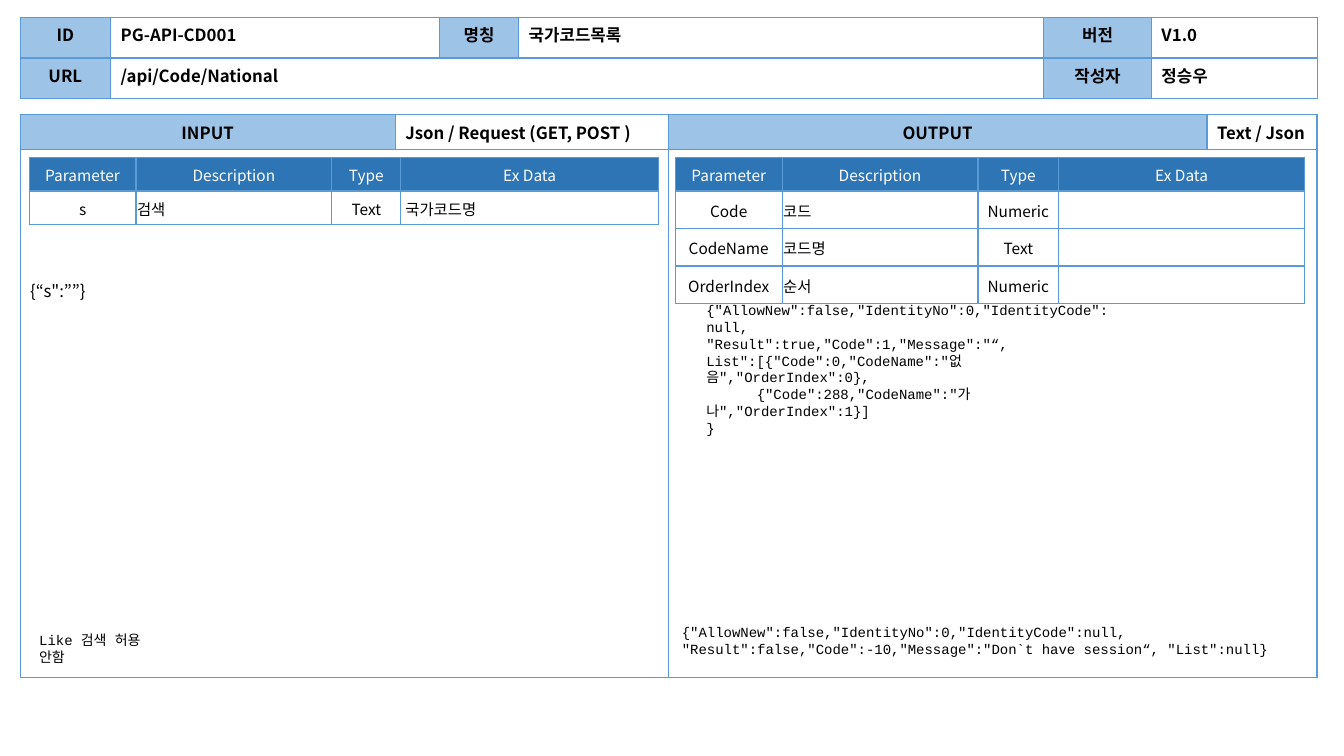
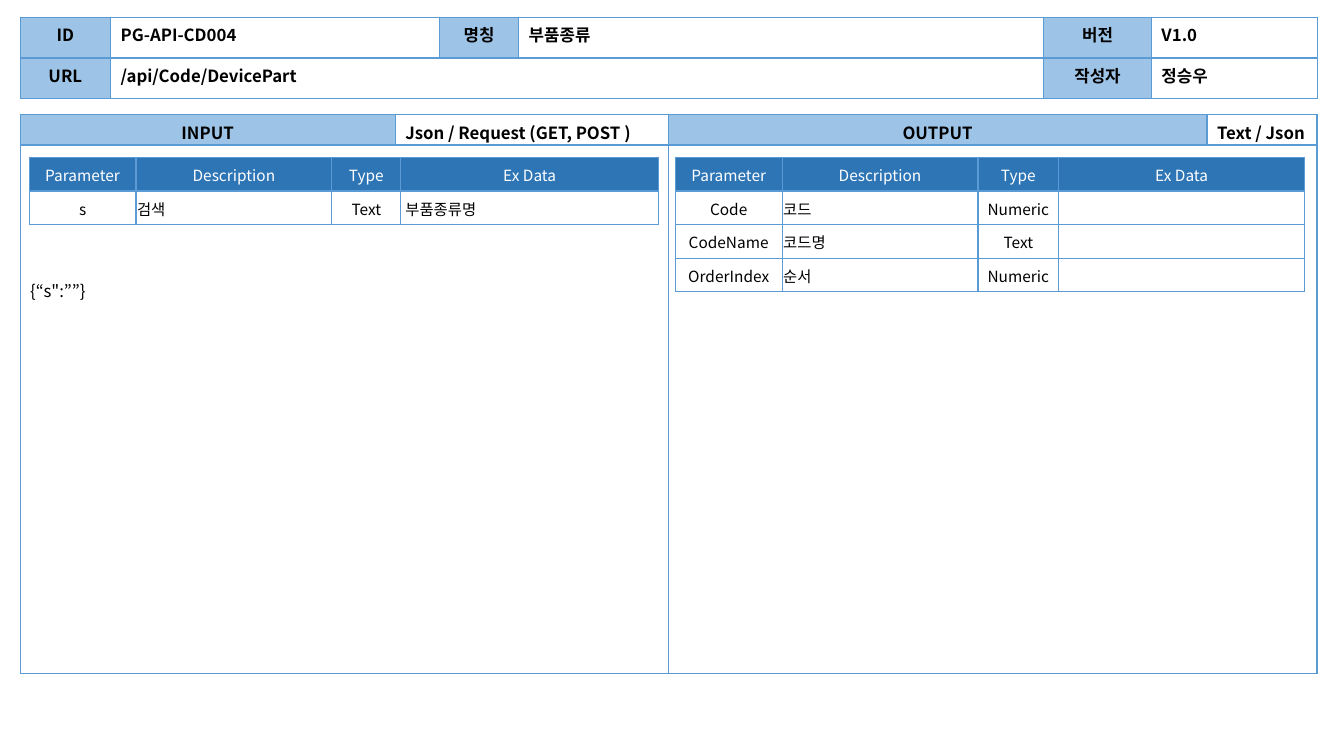
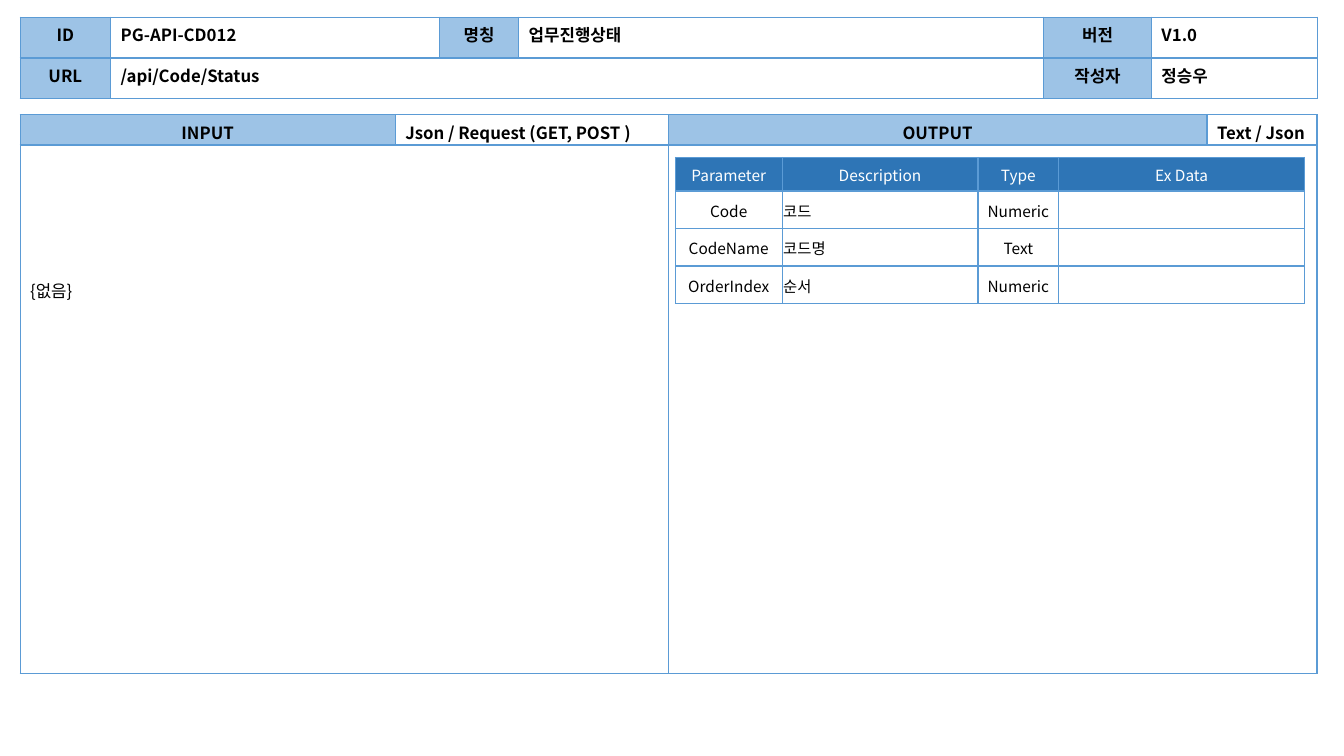
from dataclasses import dataclass

from lxml.etree import SubElement
from pptx import Presentation
from pptx.dml.color import RGBColor
from pptx.enum.text import MSO_ANCHOR, PP_ALIGN
from pptx.oxml.ns import qn
from pptx.util import Pt


@dataclass(frozen=True)
class Theme:
    text: str = "000000"
    white: str = "FFFFFF"
    label: str = "9DC3E6"
    header: str = "2E75B6"
    border: str = "5B9BD5"
    sans: str = "Noto Sans CJK KR"
    mono: str = "Courier New"
    heading_size: float = 12
    table_size: float = 11
    code_size: float = 10
    code_leading: float = 12
    border_width: float = 1


THEME = Theme()

INFO_COLUMNS = (64.6, 235, 56.5, 375, 77, 118.5)
FRAME_COLUMNS = (267.9, 195.1, 384.8, 78.6)
INPUT_COLUMNS = (76.3, 139.9, 49.3, 184)
OUTPUT_COLUMNS = (76.3, 139.9, 57.7, 175.6)

FRAME_HEADINGS = ("INPUT", "Json / Request (GET, POST )", "OUTPUT", "Text / Json")
PARAMETER_HEADINGS = ("Parameter", "Description", "Type", "Ex Data")
OUTPUT_ROWS = (
    ("Code", "코드", "Numeric", ""),
    ("CodeName", "코드명", "Text", ""),
    ("OrderIndex", "순서", "Numeric", ""),
)

SUCCESS_LINES = (
    '{"AllowNew":false,"IdentityNo":0,"IdentityCode":null, ',
    '"Result":true,"Code":1,"Message":"“,',
    'List":[{"Code":0,"CodeName":"없음","OrderIndex":0},',
    '\t{"Code":288,"CodeName":"가나","OrderIndex":1}]',
    "} ",
)
FAILURE_LINES = (
    '{"AllowNew":false,"IdentityNo":0,"IdentityCode":null,',
    '"Result":false,"Code":-10,"Message":"Don`t have session“, "List":null} ',
)


@dataclass(frozen=True)
class Api:
    code: str
    name: str
    url: str
    request: str
    search_example: str = ""
    output_row_height: float = 26.8


APIS = (
    Api("PG-API-CD001", "국가코드목록", "/api/Code/National", '{“s":””}', " 국가코드명"),
    Api("PG-API-CD004", "부품종류", "/api/Code/DevicePart", '{“s":””}', " 부품종류명", 24),
    Api("PG-API-CD012", "업무진행상태", "/api/Code/Status", "{없음}"),
)


def add_span(para, text, size, font=THEME.sans, color=THEME.text, bold=False):
    span = para.add_run()
    span.text = text
    span.font.size = Pt(size)
    span.font.name = font
    span.font.bold = bold
    span.font.color.rgb = RGBColor.from_string(color)
    SubElement(span.font._element, qn("a:ea")).set("typeface", font)


def fill_cell(cell, color):
    cell.fill.solid()
    cell.fill.fore_color.rgb = RGBColor.from_string(color)


def outline_cell(cell):
    properties = cell._tc.get_or_add_tcPr()
    for side in ("a:lnL", "a:lnR", "a:lnT", "a:lnB"):
        line = SubElement(properties, qn(side), w=str(Pt(THEME.border_width)))
        fill = SubElement(line, qn("a:solidFill"))
        SubElement(fill, qn("a:srgbClr"), val=THEME.border)


def add_grid(page, left, top, columns, rows):
    frame = page.shapes.add_table(
        len(rows), len(columns), Pt(left), Pt(top), Pt(sum(columns)), Pt(sum(rows))
    )
    table = frame.table
    table.first_row = table.horz_banding = False
    for column, width in zip(table.columns, columns):
        column.width = Pt(width)
    for row, height in zip(table.rows, rows):
        row.height = Pt(height)
    for cell in table.iter_cells():
        outline_cell(cell)
        fill_cell(cell, THEME.white)
    return table


def write_heading(cell, text, is_label):
    para = cell.text_frame.paragraphs[0]
    add_span(para, text, THEME.heading_size, bold=True)
    para.alignment = PP_ALIGN.CENTER if is_label else PP_ALIGN.LEFT
    if is_label:
        fill_cell(cell, THEME.label)


def add_info_table(page, api):
    table = add_grid(page, 14.4, 12.24, INFO_COLUMNS, (29.2, 29.2))
    table.cell(1, 1).merge(table.cell(1, 3))
    rows = (
        ("ID", api.code, "명칭", api.name, "버전", "V1.0"),
        ("URL", api.url, "", "", "작성자", "정승우"),
    )
    for row_index, row in enumerate(rows):
        for column_index, text in enumerate(row):
            if text:
                write_heading(table.cell(row_index, column_index), text, column_index % 2 == 0)


def add_frame_table(page):
    table = add_grid(page, 14.4, 82, FRAME_COLUMNS, (21.6, 377.3))
    for index, text in enumerate(FRAME_HEADINGS):
        write_heading(table.cell(0, index), text, index % 2 == 0)
    for first in (0, 2):
        table.cell(1, first).merge(table.cell(1, first + 1))


def add_parameter_table(page, left, columns, rows, row_height):
    heights = [24] + [row_height] * len(rows)
    table = add_grid(page, left, 112.5, columns, heights)
    for row_index, row in enumerate((PARAMETER_HEADINGS, *rows)):
        is_header = row_index == 0
        for column_index, text in enumerate(row):
            cell = table.cell(row_index, column_index)
            cell.vertical_anchor = MSO_ANCHOR.MIDDLE
            cell.margin_left = cell.margin_right = cell.margin_top = Pt(0.72)
            cell.margin_bottom = Pt(0)
            if is_header:
                fill_cell(cell, THEME.header)
            if text:
                para = cell.text_frame.paragraphs[0]
                centred = is_header or column_index in (0, 2)
                para.alignment = PP_ALIGN.CENTER if centred else PP_ALIGN.LEFT
                color = THEME.white if is_header else THEME.text
                add_span(para, text, THEME.table_size, color=color)


def add_text_frame(page, left, top, width, height, anchor):
    box = page.shapes.add_textbox(Pt(left), Pt(top), Pt(width), Pt(height))
    box.text_frame.word_wrap = True
    box.text_frame.vertical_anchor = anchor
    return box.text_frame


def add_request(page, text):
    frame = add_text_frame(page, 14.4, 197.3, 442, 21.6, MSO_ANCHOR.TOP)
    add_span(frame.paragraphs[0], text, THEME.heading_size)


def add_code(page, left, top, width, height, lines):
    frame = add_text_frame(page, left, top, width, height, MSO_ANCHOR.MIDDLE)
    for index, text in enumerate(lines):
        para = frame.add_paragraph() if index else frame.paragraphs[0]
        para.line_spacing = Pt(THEME.code_leading)
        add_span(para, text, THEME.code_size, font=THEME.mono)


def add_api_page(deck, api):
    page = deck.slides.add_slide(deck.slide_layouts[6])
    add_info_table(page, api)
    add_frame_table(page)
    add_parameter_table(page, 482.4, OUTPUT_COLUMNS, OUTPUT_ROWS, api.output_row_height)
    if api.search_example:
        search_row = ("s", "검색", "Text", api.search_example)
        add_parameter_table(page, 20.9, INPUT_COLUMNS, (search_row,), 24)
    add_request(page, api.request)
    return page


def main():
    deck = Presentation()
    deck.slide_width, deck.slide_height = Pt(960), Pt(540)
    pages = [add_api_page(deck, api) for api in APIS]
    national = pages[0]
    add_code(national, 480, 441.4, 461, 31.7, FAILURE_LINES)
    add_code(national, 497.5, 229.7, 306.7, 67.7, SUCCESS_LINES)
    add_code(national, 20.9, 453.6, 102.2, 19.4, ("Like 검색 허용 안함",))
    deck.save("out.pptx")


main()
